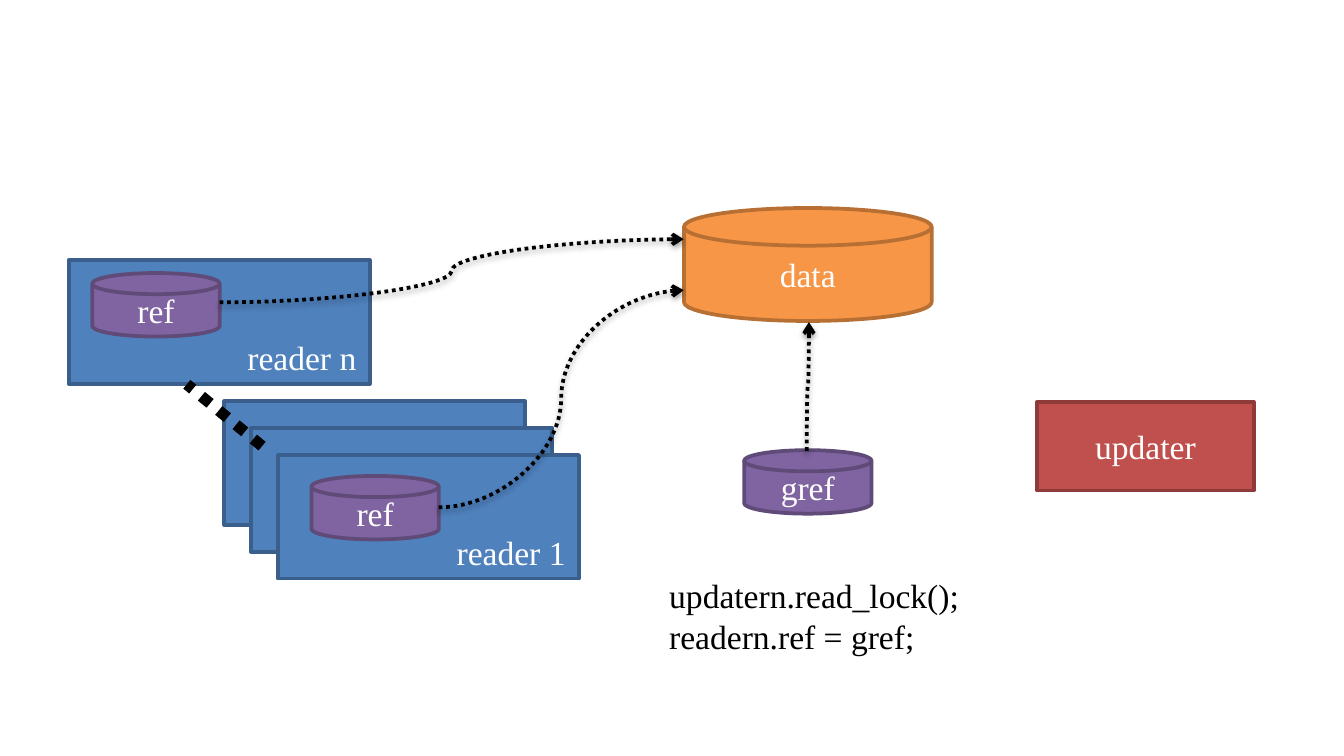
import pptx
import pptx.dml.color
import pptx.enum.dml
import pptx.enum.shapes
import pptx.enum.text
import pptx.oxml
import pptx.oxml.ns
import pptx.util

Pt = pptx.util.Pt
RGBColor = pptx.dml.color.RGBColor
Shape = pptx.enum.shapes.MSO_SHAPE
Connector = pptx.enum.shapes.MSO_CONNECTOR
Align = pptx.enum.text.PP_ALIGN
Anchor = pptx.enum.text.MSO_ANCHOR

BLACK = RGBColor(0x00, 0x00, 0x00)
WHITE = RGBColor(0xFF, 0xFF, 0xFF)
BLUE = RGBColor(0x4F, 0x81, 0xBD)
DARK_BLUE = RGBColor(0x3A, 0x5F, 0x8C)
RED = RGBColor(0xC0, 0x50, 0x4D)
DARK_RED = RGBColor(0x8E, 0x3B, 0x39)
ORANGE = RGBColor(0xF7, 0x96, 0x46)
DARK_ORANGE = RGBColor(0xB7, 0x6F, 0x34)
PURPLE = RGBColor(0x80, 0x64, 0xA2)
DARK_PURPLE = RGBColor(0x5F, 0x4A, 0x78)

NAMESPACE = pptx.oxml.ns.nsdecls("a")
NO_EFFECT = f"<a:effectLst {NAMESPACE}/>"
SOFT_SHADOW = (
    f'<a:effectLst {NAMESPACE}><a:outerShdw blurRad="{Pt(3.1)}" dist="{Pt(1.6)}" '
    'dir="5400000" rotWithShape="0"><a:srgbClr val="000000"><a:alpha val="38000"/>'
    "</a:srgbClr></a:outerShdw></a:effectLst>"
)
ARROW_END = f'<a:tailEnd {NAMESPACE} type="arrow"/>'


class Diagram:
    font_name = "Times New Roman"
    font_size = 18
    line_width = 2

    def __init__(self, slide):
        self.slide = slide

    def set_text(self, text_frame, text, color, alignment):
        text_frame.text = text
        for paragraph in text_frame.paragraphs:
            paragraph.alignment = alignment
            for run in paragraph.runs:
                run.font.name = self.font_name
                run.font.size = Pt(self.font_size)
                run.font.color.rgb = color

    def block(self, preset, box, fill, outline, text="",
              alignment=Align.CENTER, anchor=Anchor.MIDDLE):
        shape = self.slide.shapes.add_shape(preset, *map(Pt, box))
        shape.shadow.inherit = False
        shape.fill.solid()
        shape.fill.fore_color.rgb = fill
        shape.line.color.rgb = outline
        shape.line.width = Pt(self.line_width)
        shape.text_frame.vertical_anchor = anchor
        if text:
            self.set_text(shape.text_frame, text, WHITE, alignment)

    def reader(self, left, top, text=""):
        self.block(Shape.RECTANGLE, (left, top, 161.3, 66.2), BLUE, DARK_BLUE,
                   text, Align.RIGHT, Anchor.BOTTOM)

    def reference(self, left, top, text):
        self.block(Shape.FLOWCHART_MAGNETIC_DISK, (left, top, 68.2, 34),
                   PURPLE, DARK_PURPLE, text)

    def dotted(self, kind, start, end, width, effect):
        connector = self.slide.shapes.add_connector(kind, *map(Pt, start + end))
        connector.line.color.rgb = BLACK
        connector.line.width = Pt(width)
        connector.line.dash_style = pptx.enum.dml.MSO_LINE.ROUND_DOT
        connector._element.spPr.append(pptx.oxml.parse_xml(effect))
        return connector

    def arrow(self, start, end, vertical=False):
        if vertical:
            middle_x, middle_y = (start[0] + end[0]) / 2, (start[1] + end[1]) / 2
            half_length = abs(start[1] - end[1]) / 2
            half_shift = abs(start[0] - end[0]) / 2
            start = (middle_x + half_length, middle_y + half_shift)
            end = (middle_x - half_length, middle_y - half_shift)
        connector = self.dotted(Connector.CURVE, start, end, self.line_width, SOFT_SHADOW)
        properties = connector._element.spPr
        properties.find(pptx.oxml.ns.qn("a:ln")).append(pptx.oxml.parse_xml(ARROW_END))
        if vertical:
            properties.find(pptx.oxml.ns.qn("a:xfrm")).set("rot", "5400000")

    def note(self, box, text):
        text_box = self.slide.shapes.add_textbox(*map(Pt, box))
        text_box.text_frame.word_wrap = False
        self.set_text(text_box.text_frame, text, BLACK, Align.LEFT)


presentation = pptx.Presentation()
presentation.slide_width = Pt(720)
presentation.slide_height = Pt(405)
diagram = Diagram(presentation.slides.add_slide(presentation.slide_layouts[6]))

diagram.reader(36.8, 139.4, "reader n")
diagram.block(Shape.RECTANGLE, (555.7, 215.3, 115.9, 47.5), RED, DARK_RED, "updater")
diagram.block(Shape.FLOWCHART_MAGNETIC_DISK, (366.4, 111.5, 132.7, 60.5),
              ORANGE, DARK_ORANGE, "data")
for index, label in enumerate(("", "", "reader 1")):
    diagram.reader(120.1 + 14.4 * index, 215 + 14.4 * index, label)

diagram.reference(398.7, 241.2, "gref")
diagram.reference(166.9, 255, "ref")
diagram.reference(49.5, 146.3, "ref")

diagram.dotted(Connector.STRAIGHT, (140.4, 239), (100.1, 205.9), 6, NO_EFFECT)
diagram.arrow((432.2, 241.6), (433.4, 172.6), vertical=True)
diagram.arrow((235, 271.8), (366.3, 155.5))
diagram.arrow((117.7, 162), (366.3, 128.2))

diagram.note((351.4, 304.6, 171.4, 51.1), "updatern.read_lock();\nreadern.ref = gref;")

presentation.save("out.pptx")
